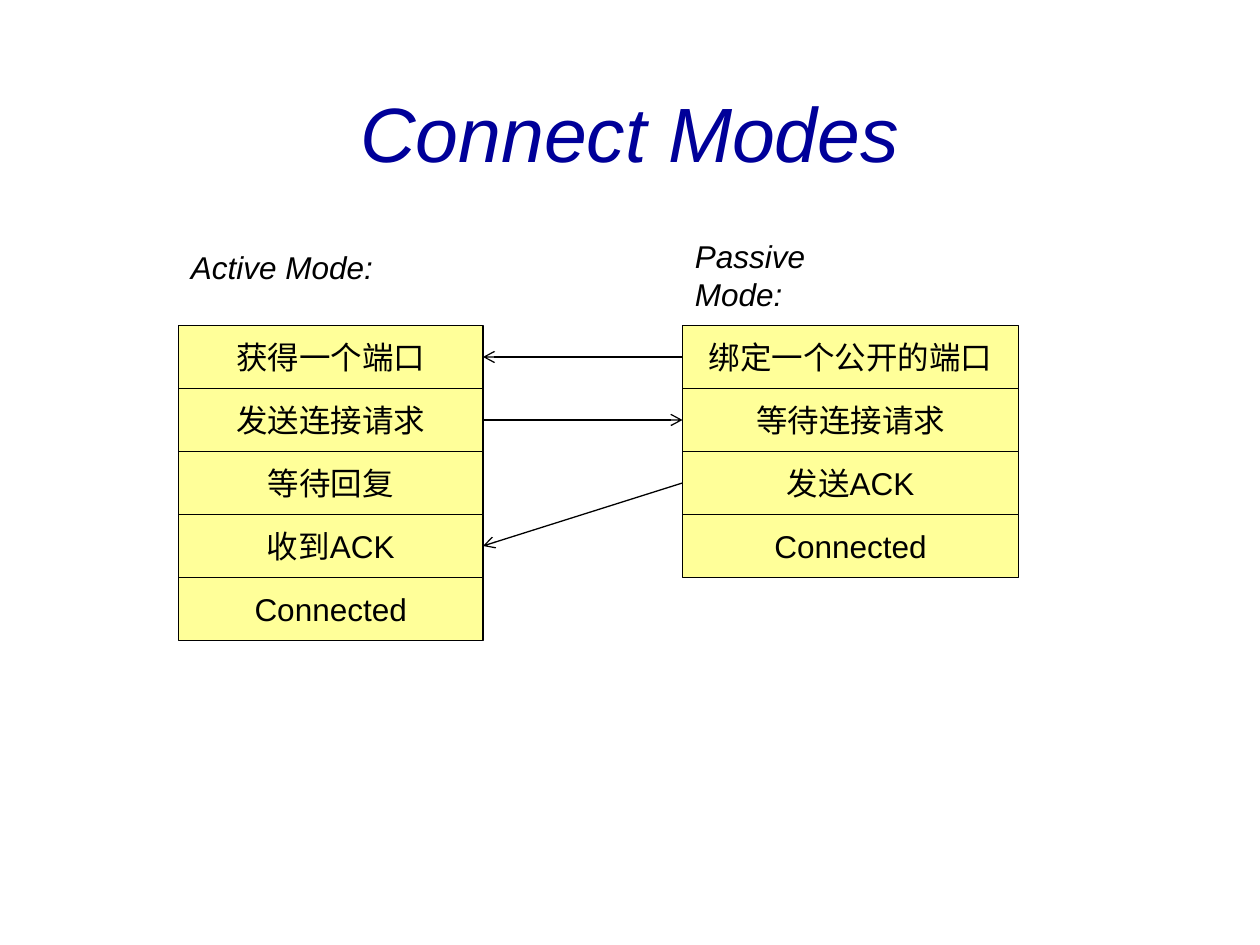
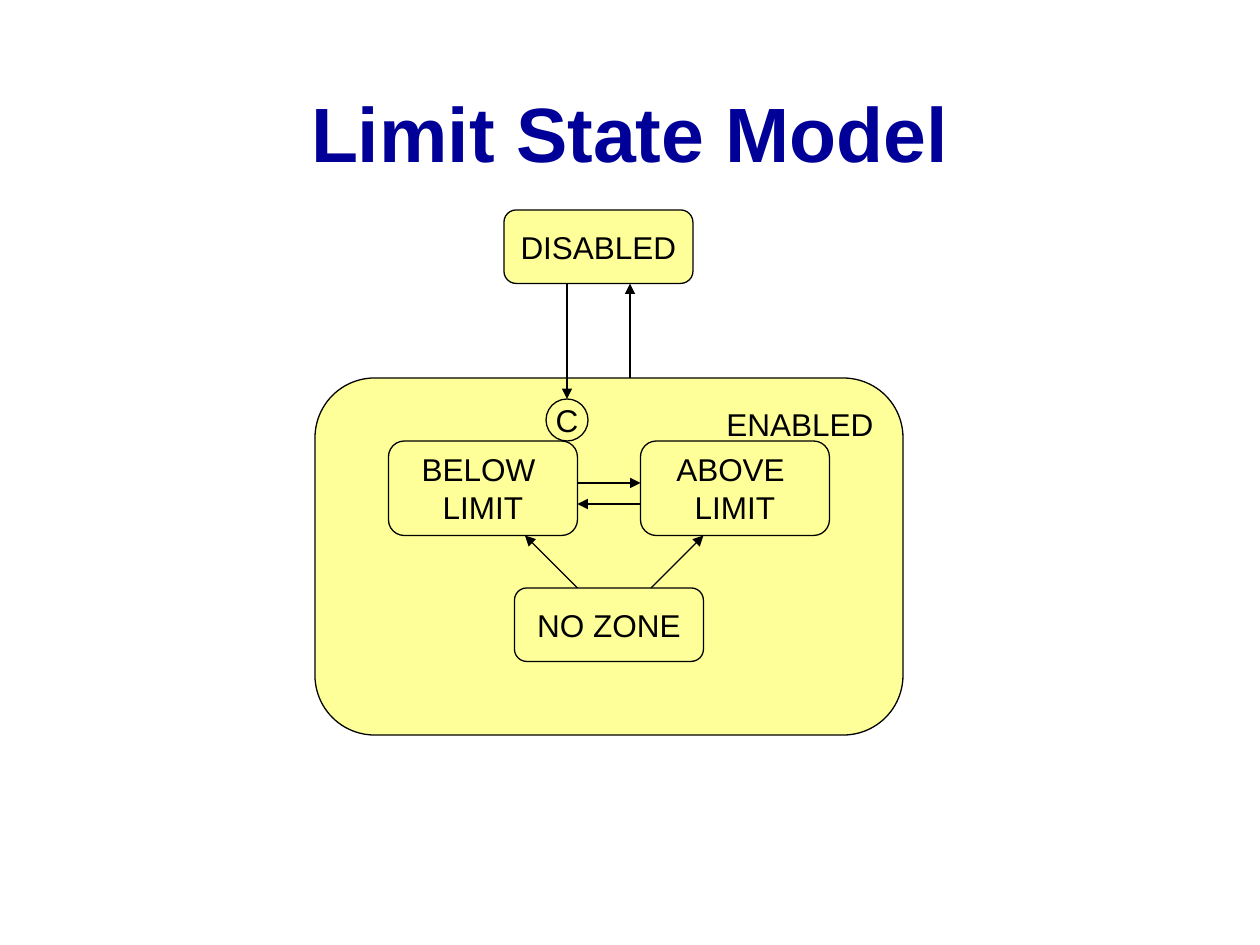
from pptx import Presentation
from pptx.dml.color import RGBColor
from pptx.enum.shapes import MSO_CONNECTOR as CONNECTOR, MSO_SHAPE as SHAPE
from pptx.enum.text import MSO_ANCHOR as ANCHOR, MSO_AUTO_SIZE as AUTO_SIZE, PP_ALIGN as ALIGN
from pptx.oxml.ns import qn
from pptx.util import Pt
from lxml import etree

# Shared scale, colours and text styles
PX = 7620  # 120 px to the inch
NAVY = RGBColor(0x00, 0x00, 0x99)
BLACK = RGBColor(0x00, 0x00, 0x00)
YELLOW = RGBColor(0xFF, 0xFF, 0x99)
LINE_WIDTH = Pt(0.75)
CORNER = 0.167
BODY = {"name": "Arial", "size": Pt(18), "bold": False, "italic": False}
TITLE = {**BODY, "size": Pt(44)}
TITLE_BOX = (40, 50, 1120, 150)
STEP_HEIGHT = 60


def emu(*lengths):
    return [length * PX for length in lengths]


def set_text(text_frame, text, style, color=BLACK, align=ALIGN.CENTER):
    text_frame.text = text
    for paragraph in text_frame.paragraphs:
        paragraph.alignment = align
        for run in paragraph.runs:
            for attribute, value in style.items():
                setattr(run.font, attribute, value)
            run.font.color.rgb = color


def add_title_slide(presentation, title, **emphasis):
    slide = presentation.slides.add_slide(presentation.slide_layouts[5])
    shape = slide.shapes.title
    shape.left, shape.top, shape.width, shape.height = emu(*TITLE_BOX)
    set_text(shape.text_frame, title, {**TITLE, **emphasis}, NAVY)
    shape.text_frame.vertical_anchor = ANCHOR.MIDDLE
    shape.text_frame.auto_size = AUTO_SIZE.NONE
    return slide


def add_box(shapes, kind, box, text=""):
    shape = shapes.add_shape(kind, *emu(*box))
    shape.shadow.inherit = False
    shape.fill.solid()
    shape.fill.fore_color.rgb = YELLOW
    shape.line.color.rgb = BLACK
    shape.line.width = LINE_WIDTH
    if kind == SHAPE.ROUNDED_RECTANGLE:
        shape.adjustments[0] = CORNER
    if text:
        set_text(shape.text_frame, text, BODY)
        shape.text_frame.word_wrap = False
        shape.text_frame.vertical_anchor = ANCHOR.MIDDLE


def add_label(shapes, box, text, **emphasis):
    text_frame = shapes.add_textbox(*emu(*box)).text_frame
    text_frame.word_wrap = True
    set_text(text_frame, text, {**BODY, **emphasis}, align=ALIGN.LEFT)


def add_arrow(shapes, start, end, head):
    connector = shapes.add_connector(CONNECTOR.STRAIGHT, *emu(*start, *end))
    connector.line.color.rgb = BLACK
    connector.line.width = LINE_WIDTH
    properties = connector.line._get_or_add_ln()
    etree.SubElement(properties, qn("a:tailEnd"), type=head)
    etree.SubElement(properties.getparent(), qn("a:effectLst"))


def draw_mode(slide, box, heading, heading_size, heading_rise, steps):
    """A heading above a stack of equal steps."""
    left, top, width = box
    shapes = slide.shapes.add_group_shape().shapes
    add_label(shapes, (left, top - heading_rise, *heading_size), heading, italic=True)
    for index, step in enumerate(steps):
        step_box = (left, top + index * STEP_HEIGHT, width, STEP_HEIGHT)
        add_box(shapes, SHAPE.RECTANGLE, step_box, step)


def draw_messages(slide, box, messages):
    """Arrows between step rows on both sides of the gap."""
    left, top, width = box

    def row_middle(row):
        return top + row * STEP_HEIGHT + STEP_HEIGHT // 2

    for active_row, passive_row, to_passive in messages:
        ends = [(left, row_middle(active_row)), (left + width, row_middle(passive_row))]
        start, end = ends if to_passive else ends[::-1]
        add_arrow(slide.shapes, start, end, "arrow")


def draw_limit_states(slide, box):
    left, top, width, height = box
    shapes = slide.shapes
    enabled_top = 160

    # Enclosing state and its name
    add_box(shapes, SHAPE.ROUNDED_RECTANGLE,
            (left, top + enabled_top, width, height - enabled_top))
    add_label(shapes, (left + 380, top + 180, 170, 48), "ENABLED")

    # States
    states = [("DISABLED", 180, 0, 70), ("BELOW \nLIMIT", 70, 220, 90),
              ("ABOVE \nLIMIT", 310, 220, 90), ("NO ZONE", 190, 360, 70)]
    for name, x, y, state_height in states:
        add_box(shapes, SHAPE.ROUNDED_RECTANGLE, (left + x, top + y, 180, state_height), name)
    add_box(shapes, SHAPE.OVAL, (left + 220, top + 180, 40, 40), "C")

    # Transitions
    transitions = [(240, 70, 240, 180), (300, 160, 300, 70),
                   (250, 260, 310, 260), (310, 280, 250, 280),
                   (250, 360, 200, 310), (320, 360, 370, 310)]
    for x1, y1, x2, y2 in transitions:
        add_arrow(shapes, (left + x1, top + y1), (left + x2, top + y2), "triangle")


def main():
    presentation = Presentation()
    presentation.slide_width, presentation.slide_height = emu(1200, 900)

    # Connect modes
    slide = add_title_slide(presentation, "Connect Modes", italic=True)
    draw_mode(slide, (170, 310, 290), "Active Mode:", (230, 48), 80,
              ["获得一个端口", "发送连接请求", "等待回复", "收到ACK", "Connected"])
    draw_mode(slide, (650, 310, 320), "Passive Mode:", (220, 84), 90,
              ["绑定一个公开的端口", "等待连接请求", "发送ACK", "Connected"])
    draw_messages(slide, (460, 310, 190), [(0, 0, False), (1, 1, True), (3, 2, False)])

    # Limit state model
    slide = add_title_slide(presentation, "Limit State Model", bold=True)
    draw_limit_states(slide, (300, 200, 560, 500))

    presentation.save("out.pptx")


if __name__ == "__main__":
    main()
